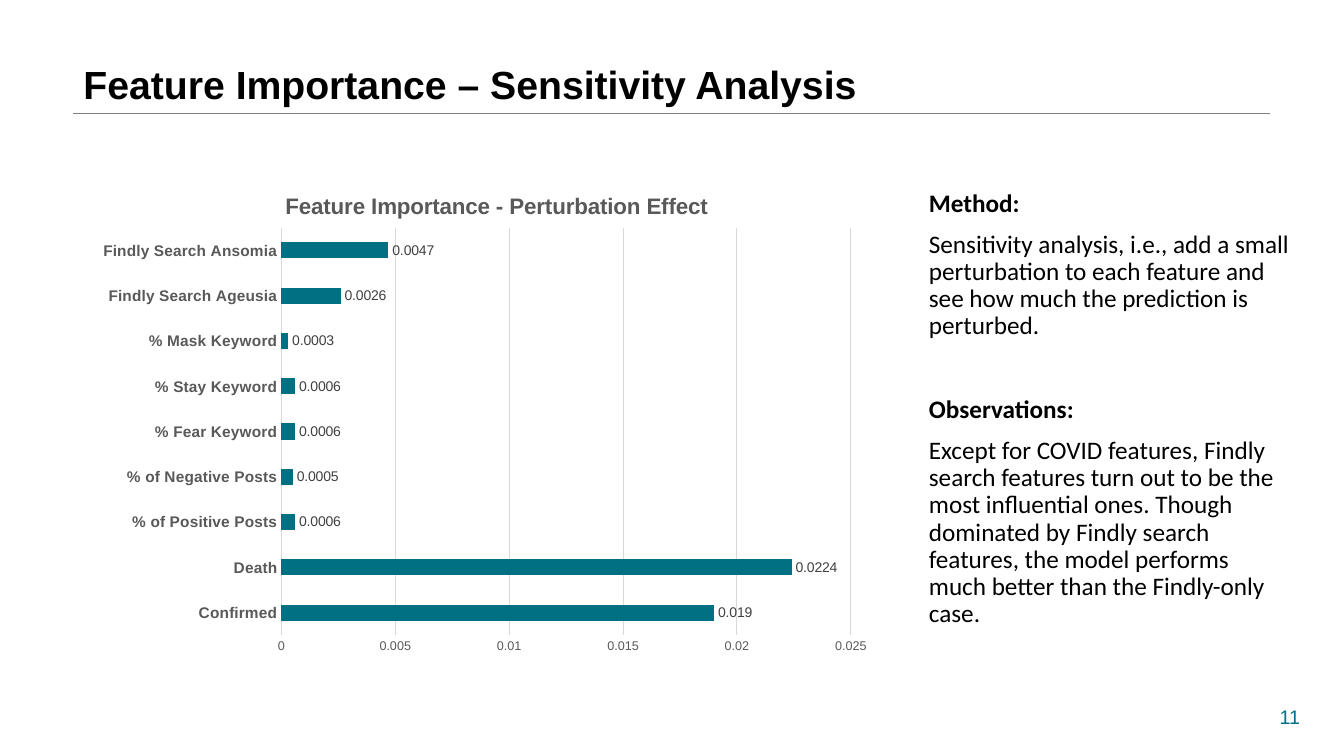
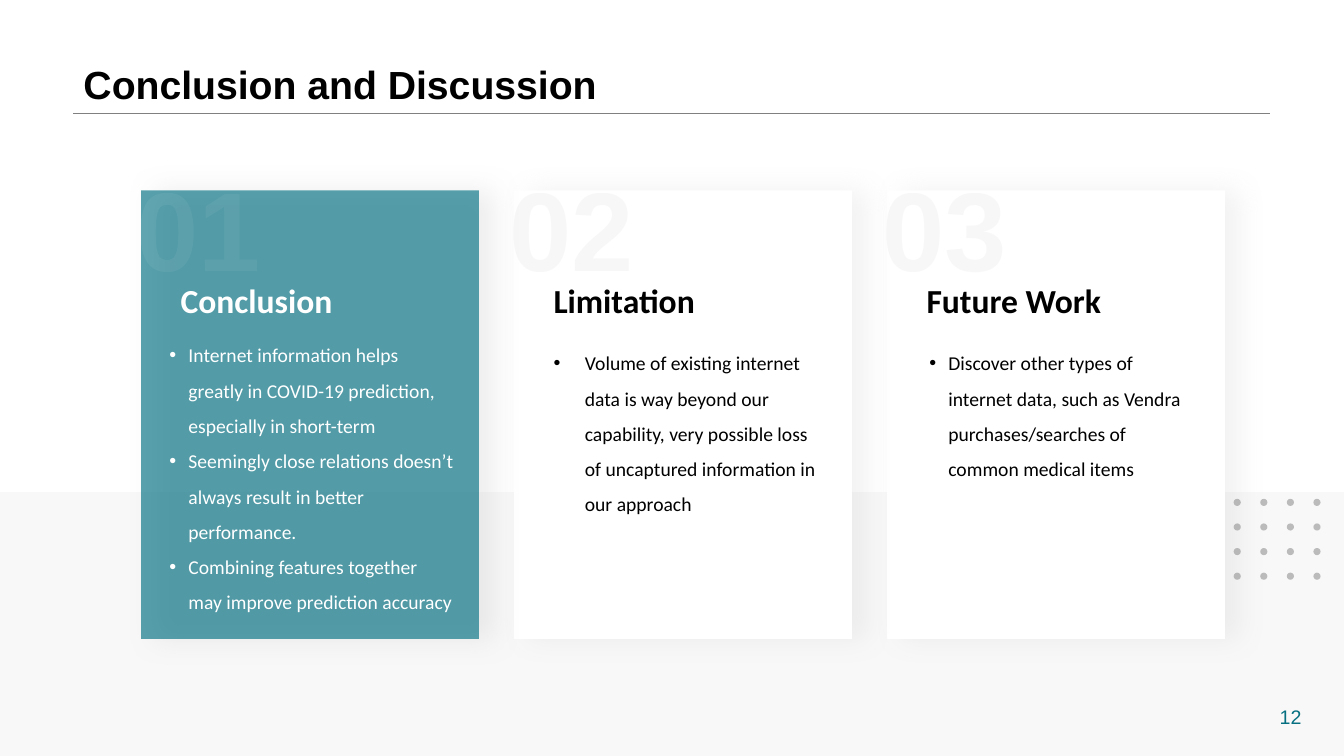
from dataclasses import dataclass
from itertools import product
from typing import NamedTuple, Optional

from lxml import etree
from pptx import Presentation
from pptx import util as u
from pptx.chart import data as chart_data
from pptx.dml.color import RGBColor
from pptx.enum import chart as ch, shapes, text
from pptx.oxml.ns import qn


@dataclass(frozen=True)
class Theme:
    black: str = "000000"
    white: str = "FFFFFF"
    teal: str = "007082"
    grey: str = "808080"
    shadow_grey: str = "A5A5A5"
    axis_text: str = "595959"
    label_text: str = "404040"
    grid: str = "D9D9D9"
    head_font: str = "Arial"
    body_font: str = "Calibri"
    title: int = 28
    method: int = 18
    card_title: int = 24
    card_body: int = 14
    card_number: int = 80
    page_number: int = 14
    chart_title: int = 16
    category: int = 11
    data_label: int = 10
    tick: int = 9


T = Theme()


class Box(NamedTuple):
    left: float
    top: float
    width: float
    height: float

    def emu(self) -> list[u.Length]:
        return [u.Cm(value) for value in self]


@dataclass(frozen=True)
class Style:
    size: int
    color: str = T.black
    bold: bool = False
    font: str = T.body_font
    spacing: Optional[float] = None
    alpha: Optional[int] = None
    bullet: Optional[float] = None


@dataclass(frozen=True)
class Card:
    title: str
    points: tuple[str, ...]
    body: Box
    indent: float
    fill: str = T.white
    fill_alpha: Optional[int] = None
    text: str = T.black
    number: str = T.grey
    shadow: str = T.grey
    shadow_alpha: int = 10


SLIDE = Box(0, 0, 33.87, 19.05)
TITLE = Box(1.85, 0, 30.15, 2.84)
PAGE_NUMBER = Box(32, 17.65, 1.4, 0.86)
CHART = Box(2.57, 4.24, 19.66, 12.52)
METHOD = Box(23.16, 4.67, 9.58, 12.09)
BAND = Box(0, 12.4, SLIDE.width, 6.65)
CARD = Box(3.56, 4.8, 8.51, 11.3)
CARD_PITCH = 9.4
DOT = Box(31.09, 12.57, 0.18, 0.18)
DOT_PITCH = (0.67, 0.62)

FEATURES = {
    "Confirmed": 0.019,
    "Death": 0.0224,
    "% of Positive Posts": 0.0006,
    "% of Negative Posts": 0.0005,
    "% Fear Keyword": 0.0006,
    "% Stay Keyword": 0.0006,
    "% Mask Keyword": 0.0003,
    "Findly Search Ageusia": 0.0026,
    "Findly Search Ansomia": 0.0047,
}

NOTES = (
    ("Method:", True, 10),
    ("Sensitivity analysis, i.e., add a small perturbation to each feature and see how "
     "much the prediction is perturbed.", False, 10),
    ("Observations:", True, 40),
    ("Except for COVID features, Findly search features turn out to be the most "
     "influential ones. Though dominated by Findly search features, the model performs "
     "much better than the Findly-only case.", False, 10),
)

CARDS = (
    Card("Conclusion",
         ("Internet information helps greatly in COVID-19 prediction, especially in short-term",
          "Seemingly close relations doesn’t always result in better performance.",
          "Combining features together may improve prediction accuracy"),
         Box(0.46, 8.23, 7.67, 7.34), 0.48, T.teal, 65, T.white, T.white, T.shadow_grey, 30),
    Card("Limitation",
         ("Volume of existing internet data is way beyond our capability, very possible "
          "loss of uncaptured information in our approach",),
         Box(0.74, 8.43, 7.19, 5.54), 0.79),
    Card("Future Work",
         ("Discover other types of internet data, such as Vendra purchases/searches of "
          "common medical items",),
         Box(0.81, 8.43, 6.99, 3.76), 0.48),
)


def add_node(parent, tag: str, **attrs):
    return etree.SubElement(parent, qn(tag), {k: str(v) for k, v in attrs.items()})


def set_alpha(element, percent: Optional[int]) -> None:
    if percent is not None:
        for color in element.iter(qn("a:srgbClr")):
            add_node(color, "a:alpha", val=percent * 1000)


def set_font(font, size: int, color: str, bold: bool = False, name: str = T.head_font) -> None:
    font.size = u.Pt(size)
    font.bold = bold
    font.name = name
    font.color.rgb = RGBColor.from_string(color)


def style_paragraph(p, style: Style) -> None:
    p.alignment = text.PP_ALIGN.LEFT
    p_pr = p._p.get_or_add_pPr()
    if style.bullet is not None:
        p_pr.set("marL", str(u.Cm(style.bullet)))
        p_pr.set("indent", str(-u.Cm(style.bullet)))
        add_node(p_pr, "a:buFont", typeface=T.head_font)
        add_node(p_pr, "a:buChar", char="•")
    if style.spacing is not None:
        p.line_spacing = style.spacing
    set_font(p.font, style.size, style.color, style.bold, style.font)
    set_alpha(p_pr, style.alpha)


def add_text(slide, box: Box, lines: tuple[str, ...], style: Style,
             anchor=text.MSO_ANCHOR.TOP, wrap: bool = True):
    sp = slide.shapes.add_textbox(*box.emu())
    tf = sp.text_frame
    tf.word_wrap = wrap
    tf.auto_size = text.MSO_AUTO_SIZE.SHAPE_TO_FIT_TEXT
    tf.vertical_anchor = anchor
    tf.text = "\n".join(lines)
    for p in tf.paragraphs:
        style_paragraph(p, style)
    return sp


def add_filled(slide, kind, box: Box, color: str, alpha: Optional[int] = None):
    sp = slide.shapes.add_shape(kind, *box.emu())
    sp.shadow.inherit = False
    sp.line.fill.background()
    sp.fill.solid()
    sp.fill.fore_color.rgb = RGBColor.from_string(color)
    set_alpha(sp.element.spPr, alpha)
    return sp


def add_base(prs, title: str, number: int):
    slide = prs.slides.add_slide(prs.slide_layouts[5])
    sp = slide.shapes.title
    sp.left, sp.top, sp.width, sp.height = TITLE.emu()
    tf = sp.text_frame
    tf.text = title
    tf.word_wrap = True
    tf.auto_size = text.MSO_AUTO_SIZE.NONE
    tf.vertical_anchor = text.MSO_ANCHOR.BOTTOM
    style_paragraph(tf.paragraphs[0], Style(T.title, bold=True, font=T.head_font, spacing=0.9))

    y = u.Cm(TITLE.height)
    rule = slide.shapes.add_connector(shapes.MSO_CONNECTOR.STRAIGHT, u.Cm(TITLE.left), y,
                                      u.Cm(TITLE.left + TITLE.width), y)
    rule.line.color.rgb = RGBColor.from_string(T.grey)
    rule.line.width = u.Pt(0.25)
    add_node(rule.element.spPr, "a:effectLst")
    add_text(slide, PAGE_NUMBER, (str(number),), Style(T.page_number, T.teal, font=T.head_font))
    return slide


def place_chart_part(parent, index: int, inner: bool = False, **fractions: float) -> None:
    for old in parent.findall(qn("c:layout")):
        parent.remove(old)
    layout = etree.Element(qn("c:layout"))
    manual = add_node(layout, "c:manualLayout")
    if inner:
        add_node(manual, "c:layoutTarget", val="inner")
    for axis in ("x", "y"):
        add_node(manual, f"c:{axis}Mode", val="edge")
    for key, value in fractions.items():
        add_node(manual, f"c:{key}", val=value)
    parent.insert(index, layout)


def add_feature_chart(slide) -> None:
    data = chart_data.CategoryChartData()
    data.categories = list(FEATURES)
    data.add_series("Series 1", list(FEATURES.values()))
    chart = slide.shapes.add_chart(ch.XL_CHART_TYPE.BAR_CLUSTERED, *CHART.emu(), data).chart
    set_font(chart.font, T.data_label, T.black)
    chart.has_legend = False
    chart.has_title = True
    tf = chart.chart_title.text_frame
    tf.text = "Feature Importance - Perturbation Effect"
    set_font(tf.paragraphs[0].font, T.chart_title, T.axis_text, True)
    chart.chart_title.include_in_layout = False

    plot = chart.plots[0]
    plot.gap_width = 182
    plot.vary_by_categories = False
    bars = plot.series[0].format.fill
    bars.solid()
    bars.fore_color.rgb = RGBColor.from_string(T.teal)
    plot.has_data_labels = True
    labels = plot.data_labels
    labels.show_value = True
    labels.position = ch.XL_LABEL_POSITION.OUTSIDE_END
    set_font(labels.font, T.data_label, T.label_text)

    cat, val = chart.category_axis, chart.value_axis
    for axis, size, bold in ((cat, T.category, True), (val, T.tick, False)):
        axis.major_tick_mark = axis.minor_tick_mark = ch.XL_TICK_MARK.NONE
        set_font(axis.tick_labels.font, size, T.axis_text, bold)
    val.minimum_scale, val.maximum_scale, val.major_unit = 0, 0.025, 0.005
    val.format.line.fill.background()
    val.has_major_gridlines = True
    for line in (cat.format.line, val.major_gridlines.format.line):
        line.color.rgb = RGBColor.from_string(T.grid)
        line.width = u.Pt(0.75)

    place_chart_part(chart.element.xpath("c:chart/c:title")[0], 1, x=0.23, y=0.04)
    place_chart_part(chart.element.xpath("c:chart/c:plotArea")[0], 0, inner=True,
                     x=0.23, y=0.12, w=0.73, h=0.82)


def add_card(slide, index: int, card: Card) -> None:
    left = CARD.left + index * CARD_PITCH
    sp = add_filled(slide, shapes.MSO_SHAPE.RECTANGLE, CARD._replace(left=left),
                    card.fill, card.fill_alpha)
    effects = sp.element.spPr.find(qn("a:effectLst"))
    shadow = add_node(effects, "a:outerShdw", blurRad=u.Pt(20), dist=u.Pt(10), dir=0,
                      algn="l", rotWithShape=0)
    add_node(shadow, "a:srgbClr", val=card.shadow)
    set_alpha(shadow, card.shadow_alpha)

    add_text(slide, card.body._replace(left=left + card.body.left), card.points,
             Style(T.card_body, card.text, spacing=1.5, bullet=card.indent))
    add_text(slide, Box(left + 0.74, 6.93, 6.99, 1.27), (card.title,),
             Style(T.card_title, card.text, bold=True), text.MSO_ANCHOR.BOTTOM)
    add_text(slide, Box(left - 0.38, 3.89, 3.68, 3.68), (f"{index + 1:02}",),
             Style(T.card_number, card.number, True, T.head_font, alpha=5), wrap=False)


def build_importance(prs) -> None:
    slide = add_base(prs, "Feature Importance – Sensitivity Analysis", 11)
    add_feature_chart(slide)
    sp = add_text(slide, METHOD, tuple(note[0] for note in NOTES),
                  Style(T.method, spacing=0.9))
    for p, (_, bold, before) in zip(sp.text_frame.paragraphs, NOTES):
        p.font.bold = bold
        p.space_before = u.Pt(before)


def build_conclusion(prs) -> None:
    slide = add_base(prs, "Conclusion and Discussion", 12)
    add_filled(slide, shapes.MSO_SHAPE.RECTANGLE, BAND, T.grey, 5)
    for row, col in product(range(4), repeat=2):
        box = DOT._replace(left=DOT.left + col * DOT_PITCH[0], top=DOT.top + row * DOT_PITCH[1])
        add_filled(slide, shapes.MSO_SHAPE.OVAL, box, T.grey, 50)
    for index, card in reversed(list(enumerate(CARDS))):
        add_card(slide, index, card)


def main() -> None:
    prs = Presentation()
    prs.slide_width, prs.slide_height = u.Cm(SLIDE.width), u.Cm(SLIDE.height)
    build_importance(prs)
    build_conclusion(prs)
    prs.save("out.pptx")


if __name__ == "__main__":
    main()
